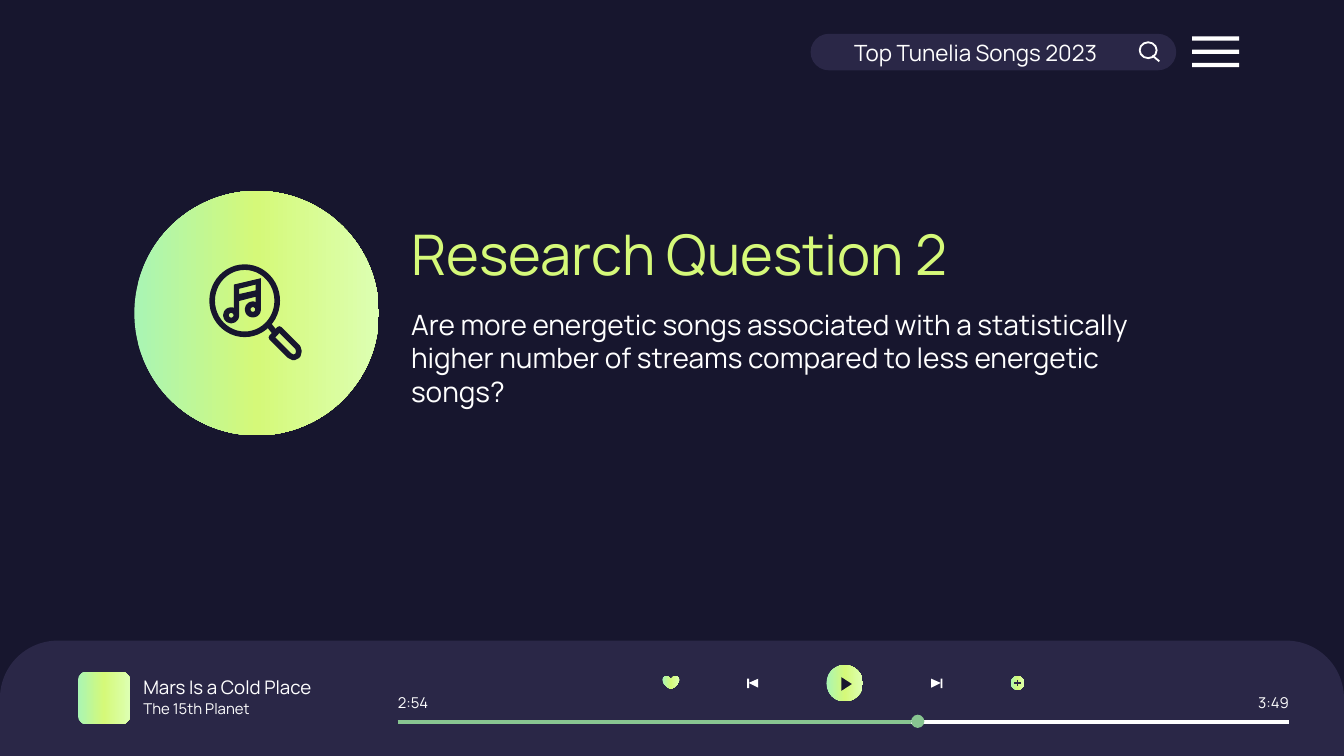
from copy import deepcopy

from lxml import etree
from pptx import Presentation
from pptx.dml.color import RGBColor
from pptx.enum.shapes import MSO_CONNECTOR, MSO_SHAPE
from pptx.enum.text import MSO_ANCHOR, PP_ALIGN
from pptx.oxml.ns import qn
from pptx.util import Cm, Pt

RECT, ROUND = MSO_SHAPE.RECTANGLE, MSO_SHAPE.ROUNDED_RECTANGLE
TAB, OVAL, HEART = MSO_SHAPE.ROUND_2_SAME_RECTANGLE, MSO_SHAPE.OVAL, MSO_SHAPE.HEART
STRAIGHT = MSO_CONNECTOR.STRAIGHT
TOP, MIDDLE = MSO_ANCHOR.TOP, MSO_ANCHOR.MIDDLE
LEFT, CENTER, RIGHT = PP_ALIGN.LEFT, PP_ALIGN.CENTER, PP_ALIGN.RIGHT

FONT = "Manrope"
COLORS = {"night": "17162E", "panel": "2A2747", "white": "FFFFFF", "lime": "D5F979",
          "mint": "A9F5B4", "pale": "DDFFB2", "progress": "88C591"}
GRADIENT = ["mint", "lime", "pale"]

# Content: text, box (left, top, width, height in cm), format
TEXTS = [
    ("Mars Is a Cold Place", (2.46, 12.78, 4.85, 0.43), {"size": 10}),
    ("The 15th Planet", (2.46, 13.18, 2.92, 0.43), {"size": 8}),
    ("2:54", (7.52, 13.06, 0.69, 0.43), {"size": 8, "side": 0}),
    ("3:49", (23.67, 13.06, 0.69, 0.43), {"size": 8, "side": 0, "align": RIGHT}),
    ("Top Tunelia Songs 2023", (14.4, 0.48, 6.81, 0.94),
     {"size": 12, "align": CENTER, "indent": 1.27, "spacing": 1.15, "after": 16}),
    ("Research Question 2", (7.52, 3.99, 12.7, 1.6), {"size": 30, "color": "lime"}),
    ("Are more energetic songs associated with a statistically higher number of "
     "streams compared to less energetic songs?", (7.52, 5.56, 15.27, 2.79),
     {"size": 15, "anchor": TOP}),
]

# Icon outlines, each a list of closed contours
PLAY = [[(15.9, 12.8), (15.9, 13.06), (16.1, 12.93)]]
NEXT = [[(17.6, 12.83), (17.6, 13.0), (17.78, 12.91)]]
PREVIOUS = [[(14.33, 12.83), (14.15, 12.91), (14.33, 13.0)]]
HANDLE = [[(5.28, 6.22), (5.13, 6.38), (5.47, 6.72), (5.55, 6.76), (5.63, 6.72),
           (5.65, 6.64), (5.63, 6.57)]]
NOTE = [[(4.42, 5.38), (4.93, 5.26), (4.93, 5.84), (4.83, 5.84), (4.83, 5.61),
         (4.52, 5.69), (4.52, 5.94), (4.42, 5.94)],
        [(4.52, 5.46), (4.83, 5.38), (4.83, 5.49), (4.52, 5.56)]]
NOTE_HEADS = [(4.37, 5.96), (4.78, 5.85)]

deck = Presentation()
deck.slide_width, deck.slide_height = Cm(25.4), Cm(14.29)
page = deck.slides.add_slide(deck.slide_layouts[6])


def rgb(name):
    return RGBColor.from_string(COLORS[name])


def paint(shape, fill=None, line=None, width=1):
    """Fill with a color name, a list of gradient color names, or nothing."""
    shape.shadow.inherit = False
    if isinstance(fill, list):
        shape.fill.gradient()
        shape.fill.gradient_angle = 0
        stop_list = shape._element.spPr.find(".//" + qn("a:gsLst"))
        stop_list.insert(1, deepcopy(stop_list[0]))
        for index, (stop, name) in enumerate(zip(shape.fill.gradient_stops, fill)):
            stop.position = index / (len(fill) - 1)
            stop.color.rgb = rgb(name)
    elif fill:
        shape.fill.solid()
        shape.fill.fore_color.rgb = rgb(fill)
    else:
        shape.fill.background()
    if line:
        shape.line.color.rgb = rgb(line)
        shape.line.width = Pt(width)
    else:
        shape.line.fill.background()


def add_shape(kind, box, adjust=None, **style):
    shape = page.shapes.add_shape(kind, *map(Cm, box))
    if adjust is not None:
        shape.adjustments[0] = adjust
    paint(shape, **style)


def add_outline(contours, **style):
    builder = None
    for contour in contours:
        points = [(Cm(x), Cm(y)) for x, y in contour]
        if builder is None:
            builder = page.shapes.build_freeform(*points[0], scale=1.0)
        else:
            builder.move_to(*points[0])
        builder.add_line_segments(points[1:], close=True)
    paint(builder.convert_to_shape(), **style)


def add_line(start, end, color, width):
    line = page.shapes.add_connector(STRAIGHT, *map(Cm, start + end))
    line.line.color.rgb = rgb(color)
    line.line.width = Pt(width)
    etree.SubElement(line._element.spPr, qn("a:effectLst"))


def add_text(text, box, size, color="white", align=LEFT, anchor=MIDDLE, side=0.25,
             indent=0, spacing=None, after=0):
    frame = page.shapes.add_textbox(*map(Cm, box)).text_frame
    frame.word_wrap = True
    frame.vertical_anchor = anchor
    frame.margin_left = frame.margin_right = Cm(side)
    frame.margin_top = frame.margin_bottom = Cm(0.25)
    para = frame.paragraphs[0]
    para.alignment = align
    para.space_after = Pt(after)
    if spacing:
        para.line_spacing = spacing
    if indent:
        para._p.get_or_add_pPr().set("marL", str(Cm(indent)))
    span = para.add_run()
    span.text = text
    span.font.name, span.font.size = FONT, Pt(size)
    span.font.color.rgb = rgb(color)


# Background
page.background.fill.solid()
page.background.fill.fore_color.rgb = rgb("night")

# Search field and menu
add_shape(ROUND, (15.32, 0.64, 6.91, 0.69), 0.5, fill="panel")
for row in range(3):
    add_shape(RECT, (22.53, 0.69 + row * 0.25, 0.89, 0.08), fill="white")
add_shape(OVAL, (21.54, 0.8, 0.32, 0.3), line="white")
add_line((21.78, 1.05), (21.91, 1.16), "white", 1)

# Player bar and cover
add_shape(TAB, (0, 12.11, 25.4, 2.18), 0.5, fill="panel")
add_shape(ROUND, (1.47, 12.7, 0.99, 0.99), 0.167, fill=GRADIENT)

# Player buttons
add_shape(HEART, (12.52, 12.78, 0.32, 0.25), fill=GRADIENT)
add_shape(RECT, (14.12, 12.83, 0.04, 0.18), fill="white")
add_outline(PREVIOUS, fill="white")
add_shape(OVAL, (15.62, 12.57, 0.69, 0.69), fill=GRADIENT)
add_outline(PLAY, fill="night")
add_outline(NEXT, fill="white")
add_shape(RECT, (17.78, 12.83, 0.03, 0.18), fill="white")
add_shape(OVAL, (19.1, 12.78, 0.26, 0.26), fill=GRADIENT)
add_line((19.23, 12.85), (19.23, 12.97), "panel", 0.75)
add_line((19.17, 12.91), (19.29, 12.91), "panel", 0.75)

# Progress track
add_line((7.52, 13.64), (24.36, 13.64), "white", 2.25)
add_shape(OVAL, (17.22, 13.51, 0.25, 0.25), fill="progress")
add_line((7.52, 13.64), (17.22, 13.64), "progress", 2.25)

# Round badge with magnifier and note
add_shape(OVAL, (2.54, 3.61, 4.62, 4.62), fill=GRADIENT)
add_shape(OVAL, (4.01, 5.05, 1.23, 1.27), line="night", width=3)
add_line((5.08, 6.14), (5.2, 6.29), "night", 3)
add_outline(HANDLE, line="night", width=3)
add_outline(NOTE, fill="night")
for x, y in NOTE_HEADS:
    add_shape(OVAL, (x - 0.1, y - 0.1, 0.2, 0.2), line="night", width=3)

# Texts
for text, box, style in TEXTS:
    add_text(text, box, **style)

deck.save("out.pptx")
